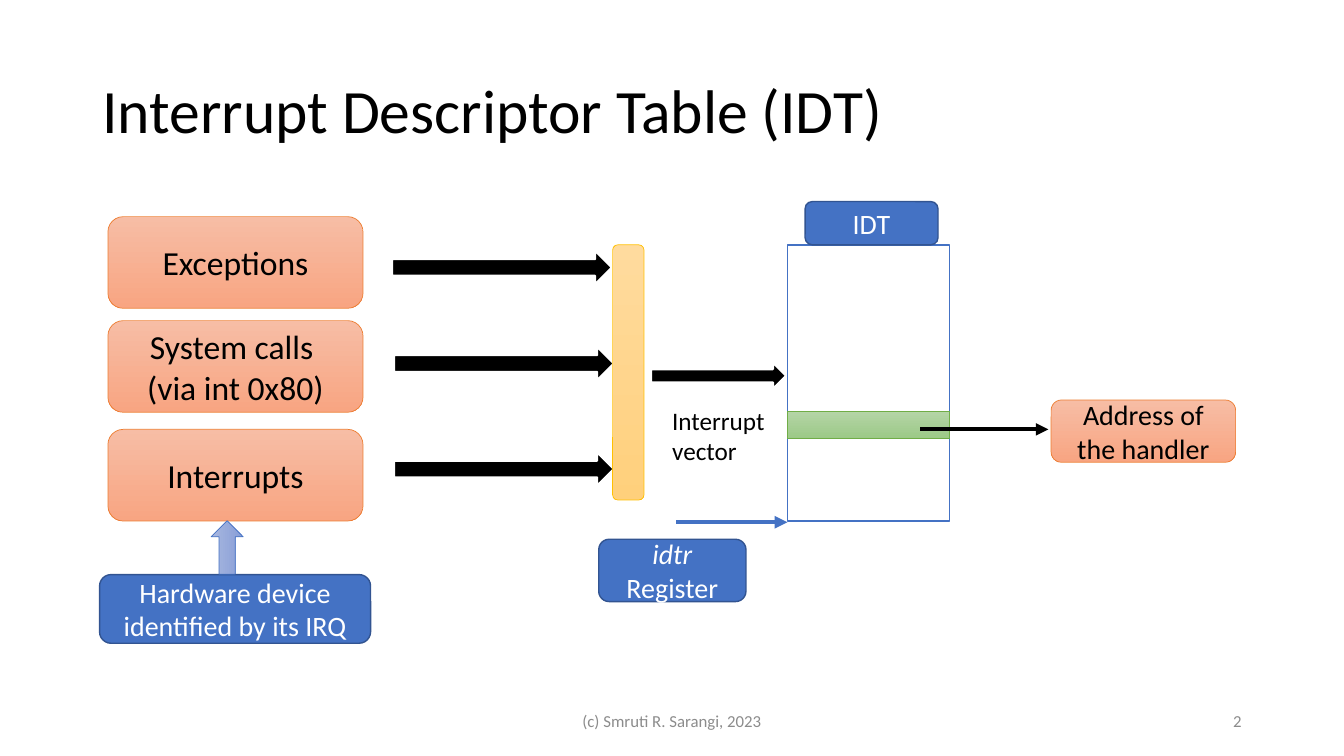
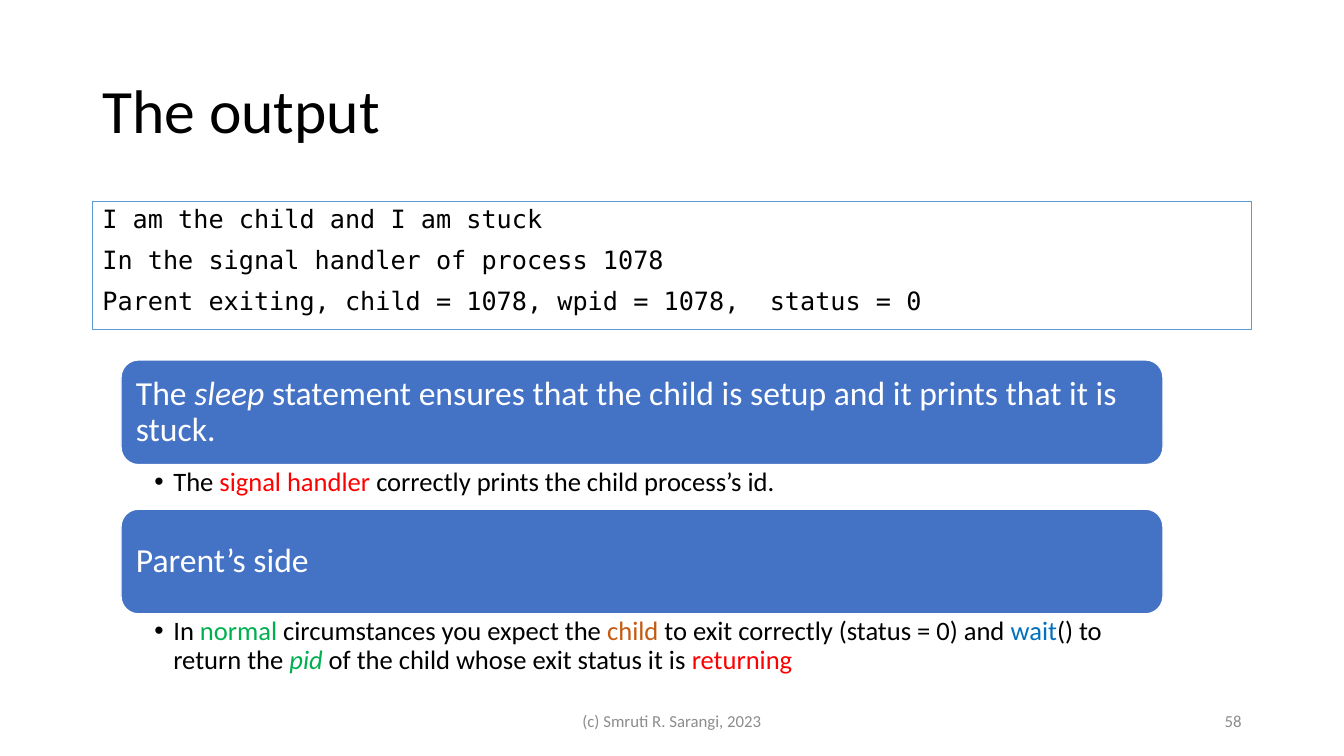
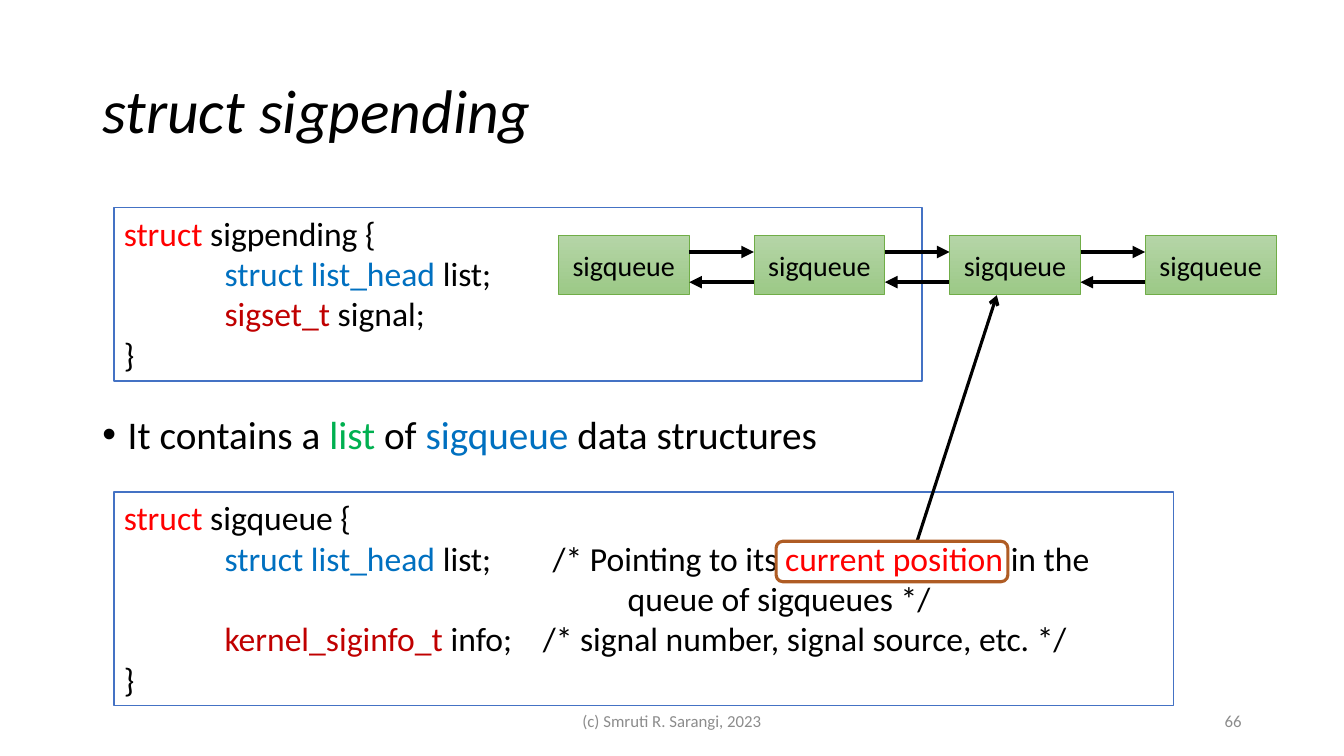
"""Builds three lecture slides on interrupts and signals."""
from dataclasses import dataclass

from lxml.etree import SubElement
from pptx import Presentation
from pptx.dml.color import RGBColor
from pptx.enum.shapes import MSO_CONNECTOR, MSO_SHAPE
from pptx.enum.text import MSO_ANCHOR, PP_ALIGN
from pptx.oxml.ns import qn
from pptx.util import Cm, Pt

BLACK = RGBColor(0x00, 0x00, 0x00)
WHITE = RGBColor(0xFF, 0xFF, 0xFF)
GREY = RGBColor(0x8C, 0x8C, 0x8C)
BLUE = RGBColor(0x44, 0x72, 0xC4)
DARK_BLUE = RGBColor(0x32, 0x54, 0x91)
SKY = RGBColor(0x5B, 0x9B, 0xD5)
RED = RGBColor(0xFF, 0x00, 0x00)
DARK_RED = RGBColor(0xC0, 0x00, 0x00)
GREEN = RGBColor(0x00, 0xB0, 0x50)
AZURE = RGBColor(0x00, 0x70, 0xC0)
RUST = RGBColor(0xC5, 0x5A, 0x11)
BROWN = RGBColor(0xAF, 0x5C, 0x24)
ORANGE_EDGE = RGBColor(0xED, 0x7D, 0x31)
GOLD_EDGE = RGBColor(0xFF, 0xC0, 0x00)
GREEN_EDGE = RGBColor(0x70, 0xAD, 0x47)
ORANGE_FADE = (RGBColor(0xF7, 0xBD, 0xA5), RGBColor(0xF8, 0xA5, 0x82))
GOLD_FADE = (RGBColor(0xFF, 0xDB, 0x9E), RGBColor(0xFF, 0xD0, 0x7C))
GREEN_FADE = (RGBColor(0xB5, 0xD5, 0xA7), RGBColor(0x9C, 0xC9, 0x87))
BLUE_FADE = (RGBColor(0xA8, 0xB7, 0xDF), RGBColor(0x88, 0x9E, 0xD7))

ORANGE_BOX = dict(fill=ORANGE_FADE, edge=ORANGE_EDGE, weight=0.5)
GREEN_BOX = dict(fill=GREEN_FADE, edge=GREEN_EDGE, weight=0.5)
BLUE_BOX = dict(fill=BLUE, edge=DARK_BLUE)
CENTRED = dict(align=PP_ALIGN.CENTER, anchor=MSO_ANCHOR.MIDDLE)
ROUND = MSO_SHAPE.ROUNDED_RECTANGLE
RECT = MSO_SHAPE.RECTANGLE
ARROW = MSO_SHAPE.RIGHT_ARROW


@dataclass
class Line:
    """One paragraph: runs of (text, colour, italic), tab stops and indent in cm."""
    runs: list
    stops: tuple = ()
    margin: float = 0
    bullet: bool = False


class Deck:
    """Holds the shared style and the slide being drawn."""

    font = "Calibri"
    mono = "DejaVu Sans Mono"
    footer = "(c) Smruti R. Sarangi, 2023"

    def __init__(self):
        """Starts an empty widescreen deck."""
        self.prs = Presentation()
        self.prs.slide_width = Cm(33.87)
        self.prs.slide_height = Cm(19.05)
        self.slide = None

    def new_slide(self, title, number, italic=False):
        """Adds a slide with its title, footer and number."""
        self.slide = self.prs.slides.add_slide(self.prs.slide_layouts[6])
        heading = Line([(title, BLACK, italic)])
        self.text((2.33, 1.02, 29.21, 3.68), [heading], 44,
                  anchor=MSO_ANCHOR.MIDDLE, spacing=0.9)
        self.text((11.22, 17.66, 11.43, 1.02), [self.footer], 12, GREY, **CENTRED)
        self.text((23.92, 17.66, 7.62, 1.02), [str(number)], 12, GREY,
                  align=PP_ALIGN.RIGHT, anchor=MSO_ANCHOR.MIDDLE)

    def text(self, place, lines, size, color=BLACK, **style):
        """Adds a text box."""
        box = self.slide.shapes.add_textbox(*map(Cm, place))
        self.fill_frame(box.text_frame, lines, size, color, **style)

    def fill_frame(self, frame, lines, size, color=BLACK, align=PP_ALIGN.LEFT,
                   anchor=MSO_ANCHOR.TOP, spacing=None, before=0, font=None,
                   insets=(0.25, 0.13, 0.25, 0.13)):
        """Fills a text frame line by line and run by run."""
        frame.word_wrap = True
        frame.vertical_anchor = anchor
        (frame.margin_left, frame.margin_top,
         frame.margin_right, frame.margin_bottom) = map(Cm, insets)
        for index, line in enumerate(lines):
            if isinstance(line, str):
                line = Line([(line,)])
            paragraph = frame.add_paragraph() if index else frame.paragraphs[0]
            self.indent(paragraph, line)
            paragraph.alignment = align
            if spacing:
                paragraph.line_spacing = spacing
            if index and before:
                paragraph.space_before = Pt(before)
            for words, *look in line.runs:
                run = paragraph.add_run()
                run.text = words
                run.font.name = font or self.font
                run.font.size = Pt(size)
                run.font.color.rgb = look[0] if look else color
                run.font.italic = len(look) > 1 and look[1]

    def indent(self, paragraph, line):
        """Sets the margin, bullet and tab stops of a paragraph."""
        props = paragraph._p.get_or_add_pPr()
        if line.margin:
            props.set("marL", str(Cm(line.margin)))
        if line.bullet:
            props.set("indent", str(-Cm(line.margin)))
            SubElement(props, qn("a:buFont"), typeface="Arial")
            SubElement(props, qn("a:buChar"), char="•")
        if line.stops:
            tabs = SubElement(props, qn("a:tabLst"))
            for stop in line.stops:
                SubElement(tabs, qn("a:tab"), pos=str(Cm(stop)), algn="l")

    def shape(self, kind, place, fill=None, edge=None, weight=1, lines=(), size=20,
              **style):
        """Adds a preset shape with a plain, graded or empty fill."""
        shape = self.slide.shapes.add_shape(kind, *map(Cm, place))
        shape.shadow.inherit = False
        if fill is None:
            shape.fill.background()
        elif isinstance(fill, RGBColor):
            shape.fill.solid()
            shape.fill.fore_color.rgb = fill
        else:
            shape.fill.gradient()
            shape.fill.gradient_angle = 270
            for position, (stop, color) in enumerate(zip(shape.fill.gradient_stops, fill)):
                stop.color.rgb = color
                stop.position = position
        shape.line.color.rgb = edge
        shape.line.width = Pt(weight)
        if lines:
            self.fill_frame(shape.text_frame, lines, size, **style)
        return shape

    def arrow(self, start, end, color=BLACK, weight=3, head="triangle"):
        """Adds a straight line with an arrowhead at its end."""
        line = self.slide.shapes.add_connector(
            MSO_CONNECTOR.STRAIGHT, *map(Cm, (*start, *end)))
        line.line.color.rgb = color
        line.line.width = Pt(weight)
        props = line.element.spPr
        SubElement(props.find(qn("a:ln")), qn("a:tailEnd"), type=head)
        SubElement(props, qn("a:effectLst"))


def descriptor_table(deck):
    """Draws how interrupts reach their handlers."""
    deck.new_slide("Interrupt Descriptor Table (IDT)", 2)
    deck.shape(RECT, (19.84, 6.17, 4.09, 6.96), WHITE, BLUE)
    labels = [
        ((20.29, 5.08, 3.35, 1.09), [("IDT",)]),
        ((15.09, 13.59, 3.71, 1.57), [("idtr", WHITE, True), (" Register",)]),
        ((2.51, 14.48, 6.83, 1.73), [("Hardware device identified by its IRQ",)]),
    ]
    for place, runs in labels:
        deck.shape(ROUND, place, lines=[Line(runs)], color=WHITE, **BLUE_BOX, **CENTRED)
    deck.arrow((17.04, 13.16), (19.84, 13.16), BLUE)

    sources = [
        (5.46, ["Exceptions"]),
        (8.08, ["System calls ", "(via int 0x80)"]),
        (10.82, ["Interrupts"]),
    ]
    for top, lines in sources:
        deck.shape(ROUND, (2.72, top, 6.43, 2.31), lines=lines, size=24,
                   **ORANGE_BOX, **CENTRED)
    flows = [(9.88, 6.32, 5.54, 0.84), (9.93, 8.74, 5.54, 0.84),
             (9.93, 11.4, 5.54, 0.84), (16.41, 9.14, 3.4, 0.66)]
    for place in flows:
        deck.shape(ARROW, place, BLACK, WHITE, 1.5)
    deck.shape(ROUND, (15.44, 6.17, 0.79, 6.43), GOLD_FADE, GOLD_EDGE, 0.5)
    deck.text((16.69, 10.08, 3.1, 1.8), ["Interrupt", "vector"], 18)

    deck.shape(RECT, (19.84, 10.36, 4.09, 0.69), **GREEN_BOX)
    deck.arrow((23.19, 10.82), (26.42, 10.82))
    deck.shape(ROUND, (26.49, 10.08, 4.65, 1.57), lines=["Address of the handler"],
               **ORANGE_BOX, **CENTRED)
    device_arrow = deck.shape(ARROW, (5.05, 13.39, 1.35, 0.81), BLUE_FADE, BLUE, 0.5)
    device_arrow.rotation = 270


def program_output(deck):
    """Shows the printed output and explains it."""
    deck.new_slide("The output", 58)
    printed = [
        "I am the child and I am stuck",
        "In the signal handler of process 1078",
        "Parent exiting, child = 1078, wpid = 1078,  status = 0",
    ]
    deck.shape(RECT, (2.33, 5.08, 29.21, 3.23), WHITE, SKY, lines=printed, size=18,
               font=deck.mono, spacing=0.9, before=10)
    sections = [
        (9.07, 1.09,
         [("The ",), ("sleep", WHITE, True),
          (" statement ensures that the child is setup and it prints that it is stuck.",)],
         [("The ",), ("signal handler ", RED),
          ("correctly prints the child process’s id.",)]),
        (12.83, 1.65,
         [("Parent’s side",)],
         [("In ",), ("normal", GREEN), (" circumstances you expect the ",),
          ("child", RUST), (" to exit correctly (status = 0) and ",),
          ("wait", AZURE), ("() to return the ",), ("pid", GREEN, True),
          (" of the child whose exit status it is ",), ("returning", RED)]),
    ]
    for top, detail_height, heading, detail in sections:
        deck.shape(ROUND, (3.05, top, 26.26, 2.64), BLUE, WHITE, lines=[Line(heading)],
                   size=24, color=WHITE, anchor=MSO_ANCHOR.MIDDLE, spacing=0.9)
        deck.text((3.05, top + 2.66, 26.26, detail_height),
                  [Line(detail, margin=0.48, bullet=True)], 19, spacing=0.9,
                  insets=(0.84, 0.08, 0.48, 0.08))


def pending_signals(deck):
    """Shows the structures that queue pending signals."""
    deck.new_slide("struct sigpending", 66, italic=True)
    bullet = Line([("It contains a ",), ("list", GREEN), (" of ",),
                   ("sigqueue", AZURE), (" data structures",)], margin=0.64, bullet=True)
    deck.text((2.33, 10.34, 27.84, 1.52), [bullet], 28, spacing=0.9)

    keyword = ("struct ", RED)
    list_head = ("\t",), ("struct list_head", AZURE)
    sigpending = [
        Line([keyword, ("sigpending {",)]),
        Line([*list_head, (" list;",)], (2.54,)),
        Line([("\t",), ("sigset_t", DARK_RED), (" signal;",)], (2.54,)),
        "}",
    ]
    sigqueue = [
        Line([keyword, ("sigqueue {",)]),
        Line([*list_head, (" list;\t/* Pointing to its ",),
              ("current position ", RED), ("in the",)], (2.54, 10.81)),
        Line([("queue of sigqueues */",)], margin=12.7),
        Line([("\t",), ("kernel_siginfo_t ", DARK_RED),
              ("info;\t/* signal number, signal source, etc. */",)], (2.54, 10.56)),
        "}",
    ]
    for place, code in [((2.87, 5.23, 20.37, 4.37), sigpending),
                        ((2.87, 12.4, 26.7, 5.38), sigqueue)]:
        deck.shape(RECT, place, WHITE, BLUE, lines=code, size=24)

    count, first, pitch, width = 4, 14.07, 4.93, 3.3
    for index in range(count):
        left = first + index * pitch
        deck.shape(RECT, (left, 5.94, width, 1.47), lines=["sigqueue"],
                   **GREEN_BOX, **CENTRED)
        if index < count - 1:
            deck.arrow((left + width, 6.35), (left + pitch, 6.35))
            deck.arrow((left + pitch, 7.11), (left + width, 7.11))
    deck.arrow((23.11, 13.64), (25.12, 7.44), weight=2.25, head="arrow")
    deck.shape(ROUND, (19.56, 13.64, 5.84, 1.02), edge=BROWN, weight=2.25)


def main():
    """Builds and saves the deck."""
    deck = Deck()
    descriptor_table(deck)
    program_output(deck)
    pending_signals(deck)
    deck.prs.save("out.pptx")


if __name__ == "__main__":
    main()
